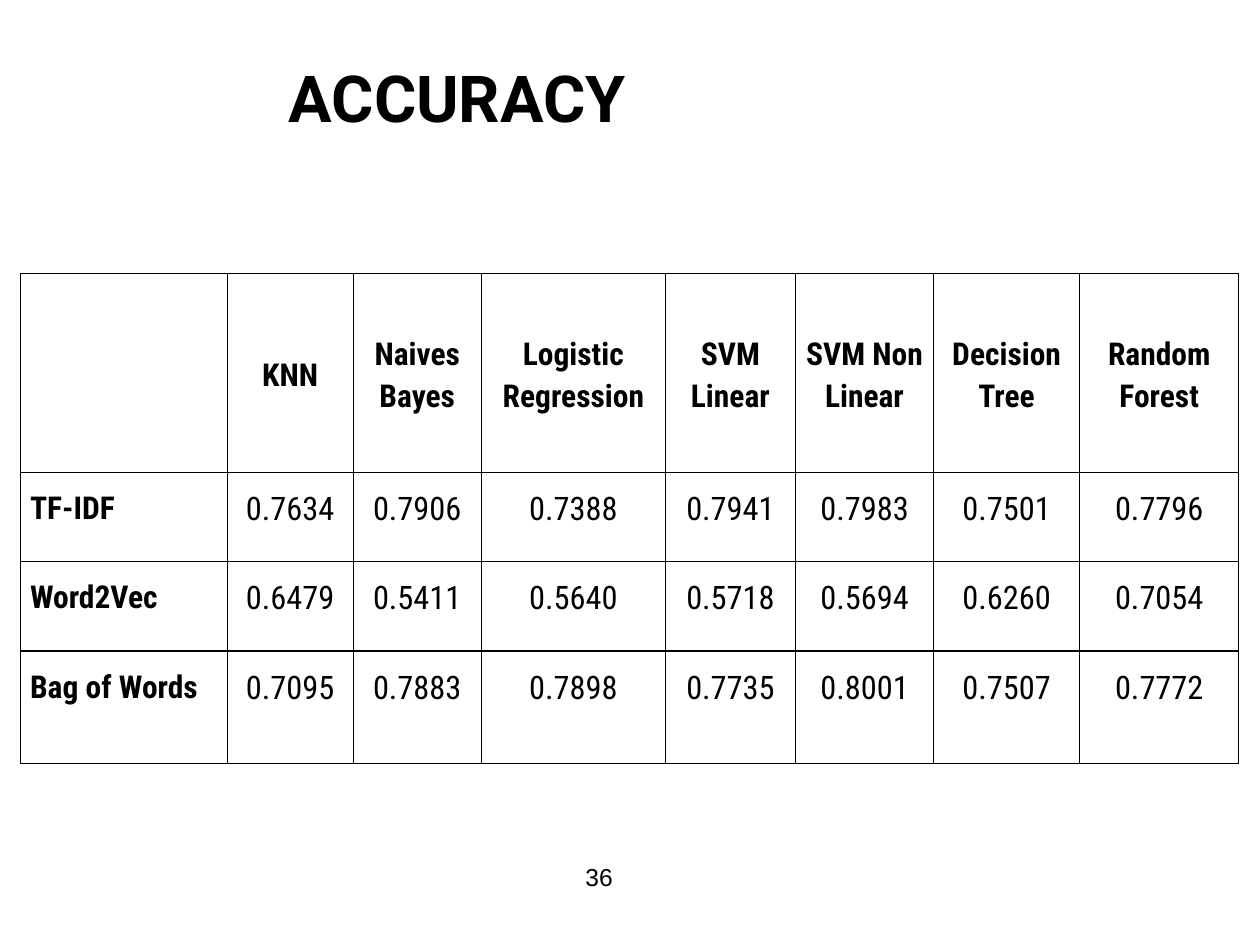
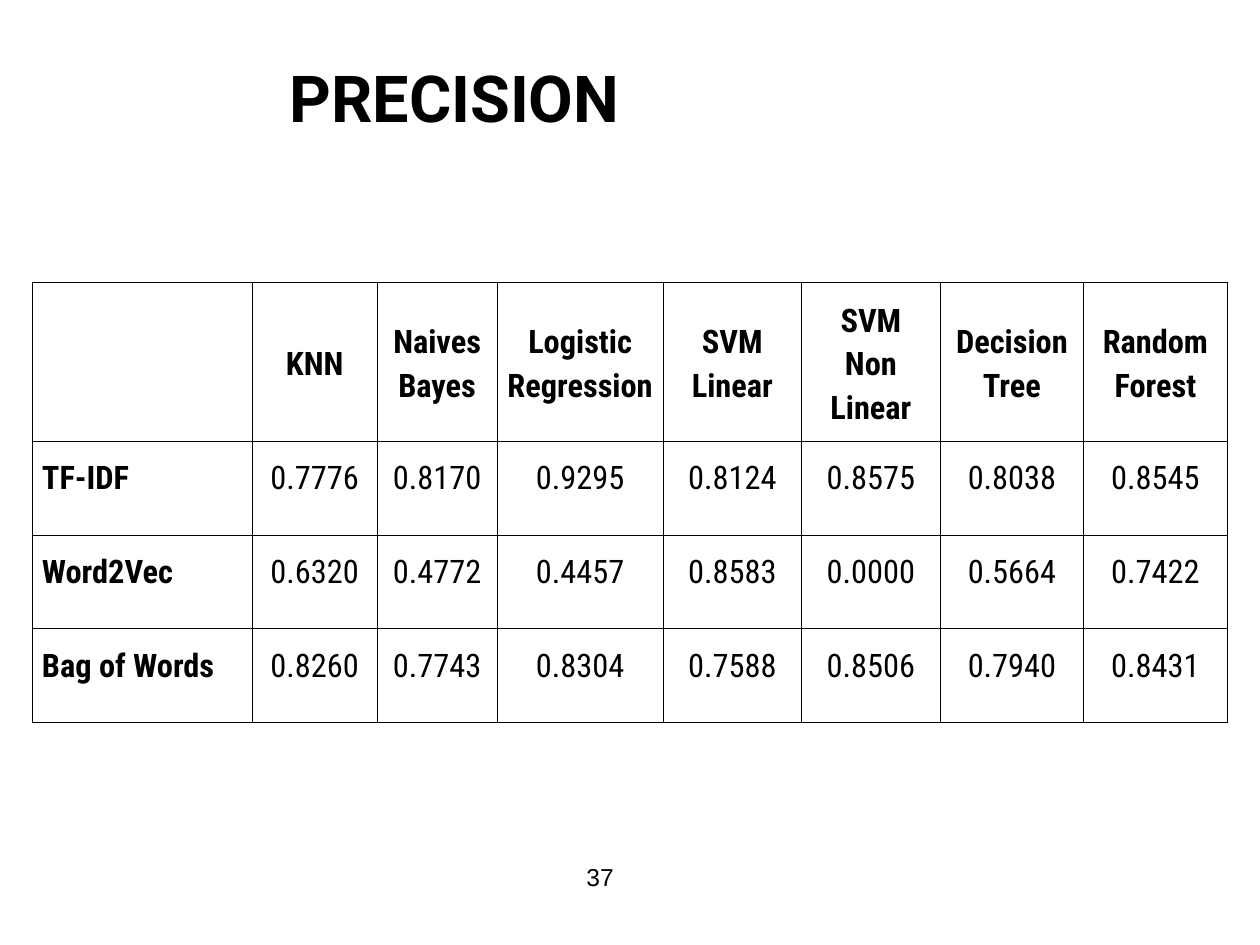
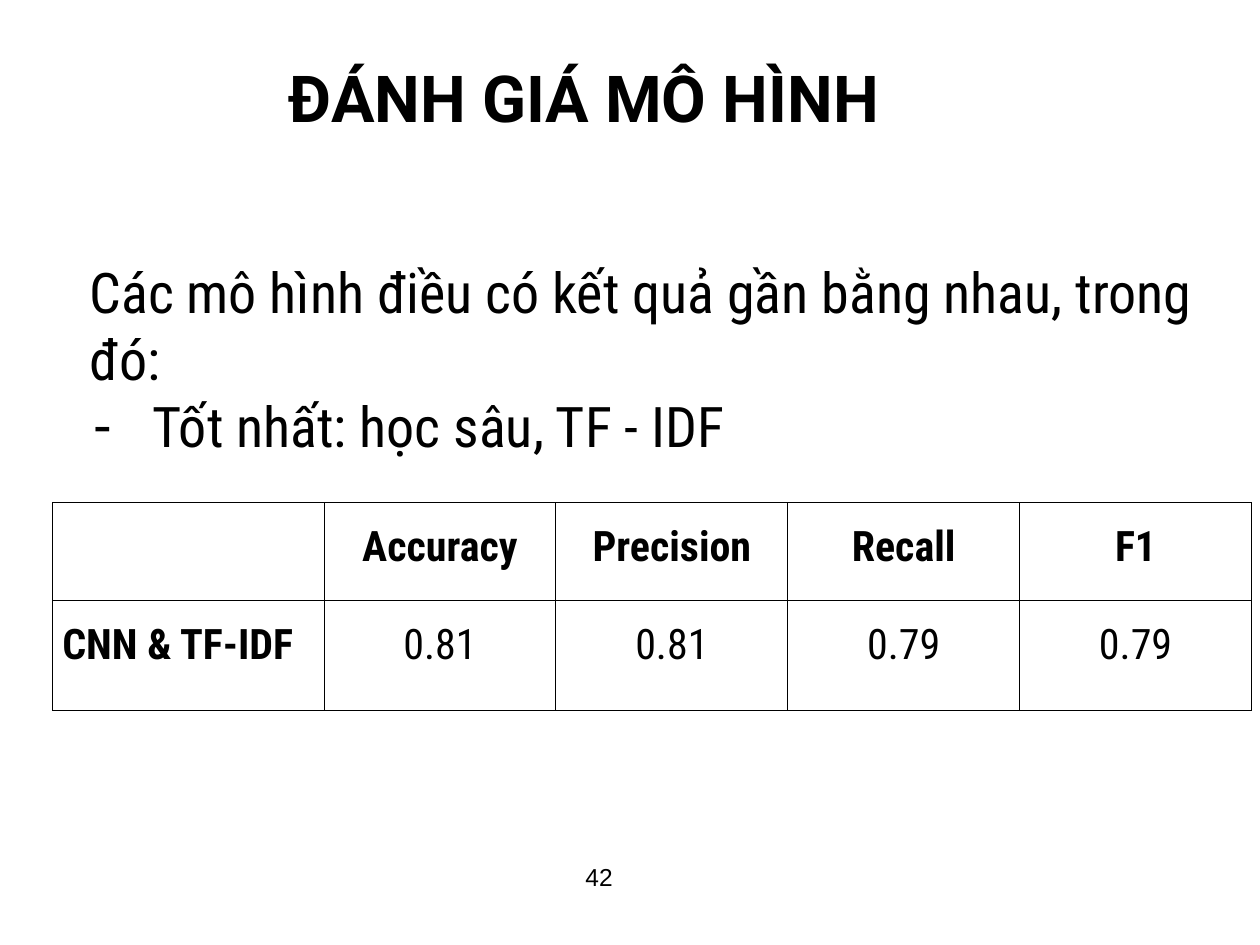
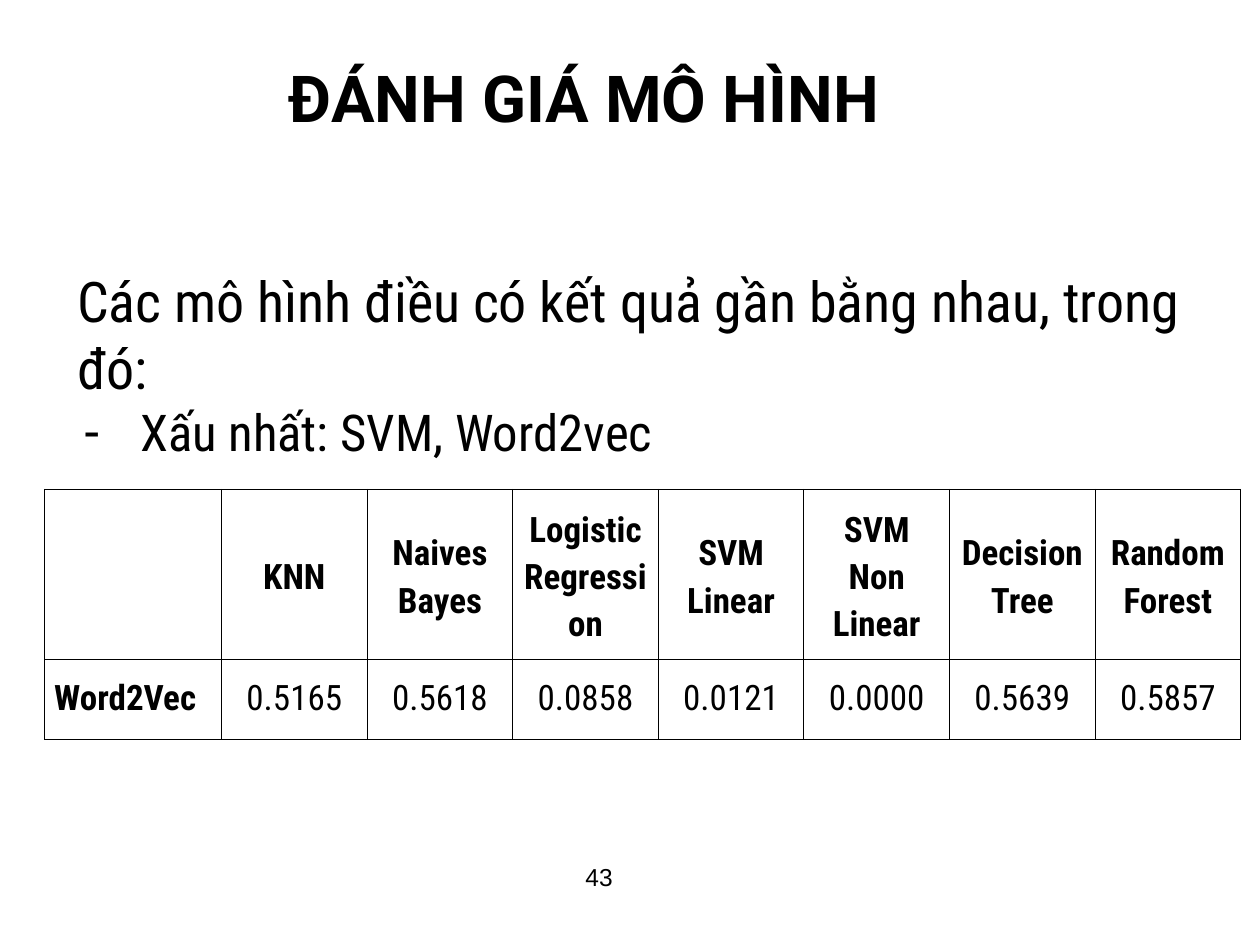
from lxml import etree
from pptx import Presentation
from pptx.dml.color import RGBColor
from pptx.enum import text as t
from pptx.oxml import ns
from pptx.util import Pt

COLORS = {"ink": "000000", "paper": "FFFFFF"}
HEAD, BODY, PLAIN = "Roboto", "Roboto Condensed", "Arial"
MODELS = ["", "KNN", "Naives Bayes", "Logistic Regression", "SVM Linear",
          "SVM Non Linear", "Decision Tree", "Random Forest"]
INTRO = "Các mô hình điều có kết quả gần bằng nhau, trong đó:"


def color(name):
    return RGBColor.from_string(COLORS[name])


def child(node, tag, **attrs):
    return etree.SubElement(node, ns.qn(tag), attrs)


class Deck:
    def __init__(self):
        self.prs = Presentation()
        self.prs.slide_width, self.prs.slide_height = Pt(720), Pt(540)
        self.slide = None

    def font(self, para, name, size, bold=False):
        font = para.font
        font.name, font.size, font.bold = name, Pt(size), bold
        font.color.rgb = color("ink")

    def box(self, x, y, w, h, inset=7.2):
        frame = self.slide.shapes.add_textbox(Pt(x), Pt(y), Pt(w), Pt(h)).text_frame
        frame.word_wrap = True
        frame.margin_left = frame.margin_right = Pt(7.2)
        frame.margin_top = frame.margin_bottom = Pt(inset)
        return frame

    def page(self, title, number, shift=0):
        """Start a slide with its page number and title."""
        self.slide = self.prs.slides.add_slide(self.prs.slide_layouts[6])
        para = self.box(189.2 + shift, 489, 168, 43, inset=3.6).paragraphs[0]
        para.text, para.alignment = str(number), t.PP_ALIGN.RIGHT
        self.font(para, PLAIN, 14)

        frame = self.box(122 + shift, 26, 554.4, 59)
        frame.auto_size = t.MSO_AUTO_SIZE.SHAPE_TO_FIT_TEXT
        para = frame.paragraphs[0]
        para.text = title
        para._p.get_or_add_pPr().set("marL", str(Pt(36)))
        self.font(para, HEAD, 37, True)

    def points(self, x, y, w, h, item, size, hang):
        """Intro sentence and one dashed item."""
        frame = self.box(x, y, w, h)
        intro = frame.paragraphs[0]
        intro.text = INTRO
        self.font(intro, BODY, 32)
        para = frame.add_paragraph()
        para.text = item
        props = para._p.get_or_add_pPr()
        props.set("marL", str(Pt(36)))
        props.set("indent", str(-Pt(hang)))
        child(child(props, "a:buClr"), "a:srgbClr", val=COLORS["ink"])
        child(props, "a:buFont", typeface=PLAIN)
        child(props, "a:buChar", char="-")
        self.font(para, BODY, size)

    def border(self, cell, width):
        props = cell._tc.get_or_add_tcPr()
        for side in "LRTB":
            line = child(props, f"a:ln{side}", w=str(Pt(width)))
            child(child(line, "a:solidFill"), "a:srgbClr", val=COLORS["ink"])

    def grid(self, x, y, cols, rows, data, size, num=None, line=0.66, middle=True):
        """Table with bold heads; num is the size of the figures."""
        table = self.slide.shapes.add_table(
            len(rows), len(cols), Pt(x), Pt(y), Pt(sum(cols)), Pt(sum(rows))).table
        table.first_row = table.horz_banding = False
        for col, width in zip(table.columns, cols):
            col.width = Pt(width)
        for row, height in zip(table.rows, rows):
            row.height = Pt(height)
        for r, values in enumerate(data):
            for c, value in enumerate(values):
                cell = table.cell(r, c)
                self.border(cell, line)
                cell.fill.solid()
                cell.fill.fore_color.rgb = color("paper")
                cell.margin_left = cell.margin_right = Pt(5.4)
                cell.margin_top = cell.margin_bottom = Pt(7.2)
                if not value:
                    continue
                if r == 0 and middle:
                    cell.vertical_anchor = t.MSO_ANCHOR.MIDDLE
                para = cell.text_frame.paragraphs[0]
                para.text = value
                para.line_spacing, para.space_after = 1.15, Pt(12)
                if c:
                    para.alignment = t.PP_ALIGN.CENTER
                bold = r == 0 or c == 0
                self.font(para, BODY, size if bold else num or size, bold)


def main():
    deck = Deck()

    # Accuracy
    deck.page("ACCURACY", 36)
    deck.grid(11.8, 156.2, [118, 72, 73.3, 105.2, 74.3, 79, 83.4, 91],
              [113.8, 51, 51, 64.4], [
        MODELS,
        ["TF-IDF", "0.7634", "0.7906", "0.7388", "0.7941", "0.7983", "0.7501", "0.7796"],
        ["Word2Vec", "0.6479", "0.5411", "0.5640", "0.5718", "0.5694", "0.6260", "0.7054"],
        ["Bag of Words", "0.7095", "0.7883", "0.7898", "0.7735", "0.8001", "0.7507", "0.7772"],
    ], 18, num=18.5, line=0.75)

    # Precision
    deck.page("PRECISION", 37, shift=0.6)
    deck.grid(18.6, 161.3, [125.5, 71.4, 68.6, 94.8, 79.2, 79.2, 82, 82],
              [90.9] + [53.5] * 3, [
        MODELS,
        ["TF-IDF", "0.7776", "0.8170", "0.9295", "0.8124", "0.8575", "0.8038", "0.8545"],
        ["Word2Vec", "0.6320", "0.4772", "0.4457", "0.8583", "0.0000", "0.5664", "0.7422"],
        ["Bag of Words", "0.8260", "0.7743", "0.8304", "0.7588", "0.8506", "0.7940", "0.8431"],
    ], 18.5)

    # Best model
    deck.page("ĐÁNH GIÁ MÔ HÌNH", 42)
    deck.points(44.1, 139.7, 657.4, 130.3, "Tốt nhất: học sâu, TF - IDF", 32, 34)
    deck.grid(30.2, 287.2, [155] + [132.5] * 4, [56, 62.7], [
        ["", "Accuracy", "Precision", "Recall", "F1"],
        ["CNN & TF-IDF", "0.81", "0.81", "0.79", "0.79"],
    ], 24, middle=False)

    # Worst model
    deck.page("ĐÁNH GIÁ MÔ HÌNH", 43)
    deck.points(37, 144.9, 661, 125.3, "Xấu nhất: SVM, Word2vec", 29, 32.4)
    deck.grid(25.6, 279.7, [101] + [83.2] * 7, [83, 45.7], [
        MODELS,
        ["Word2Vec", "0.5165", "0.5618", "0.0858", "0.0121", "0.0000", "0.5639", "0.5857"],
    ], 20)

    deck.prs.save("out.pptx")


if __name__ == "__main__":
    main()
